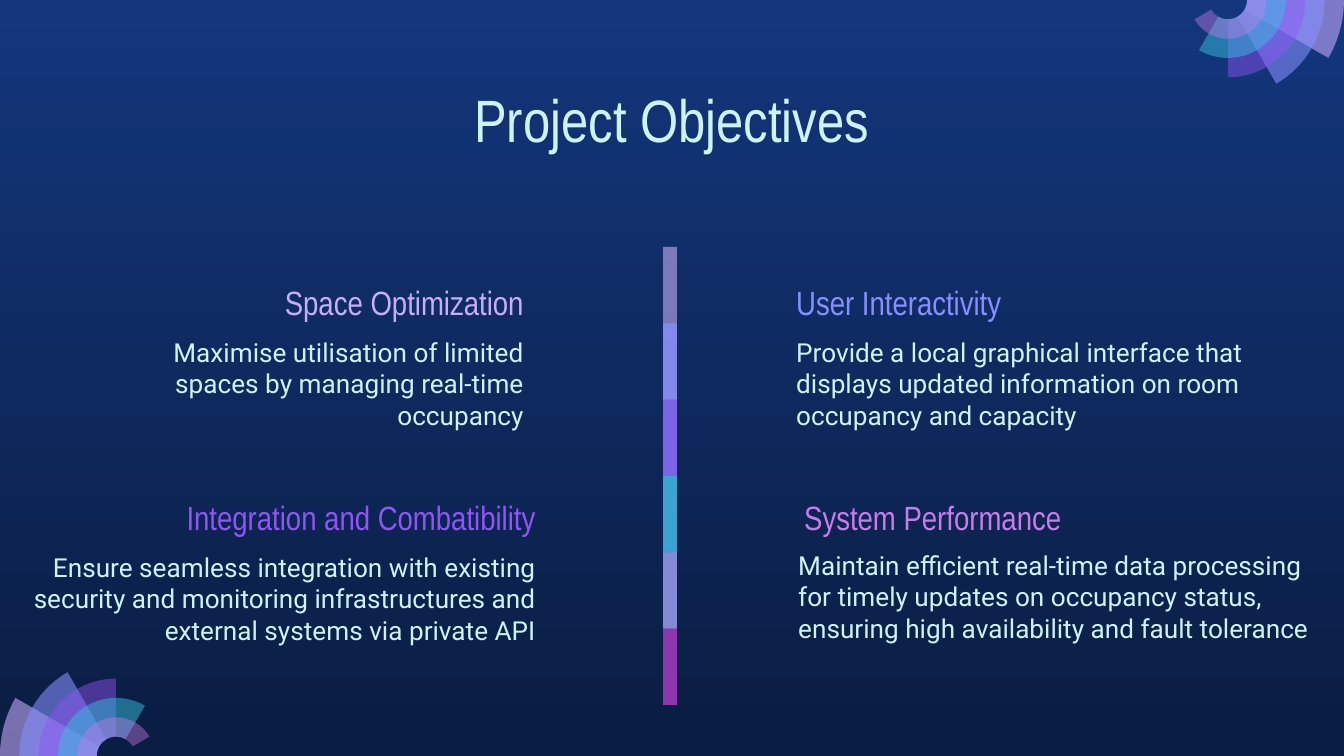
"""Build the Project Objectives slide."""
import math
from dataclasses import dataclass

import lxml.etree
import pptx
import pptx.dml.color
import pptx.enum.shapes
import pptx.enum.text
import pptx.oxml.ns
import pptx.util

SCALE = 9144000 / 1344
ALIGN = pptx.enum.text.PP_ALIGN
ANCHOR = pptx.enum.text.MSO_ANCHOR
qn = pptx.oxml.ns.qn


@dataclass(frozen=True)
class Theme:
    """Hold the colours, fonts and type sizes."""
    top: str = "13367C"
    base: str = "0A1D42"
    text: str = "CEF3F5"
    lilac: str = "C8AEF8"
    pale: str = "C8ACFD"
    blue: str = "878FFF"
    violet: str = "9154F8"
    cyan: str = "35C2DF"
    pink: str = "CA7BEB"
    plum: str = "972CB4"
    display: str = "Arial Narrow"
    body: str = "Roboto"
    title_size: int = 32
    head_size: int = 18
    body_size: int = 14


THEME = Theme()


def px(count):
    """Turn pixels into EMU."""
    return pptx.util.Emu(round(count * SCALE))


def rgb(code):
    """Turn a hex code into a colour."""
    return pptx.dml.color.RGBColor.from_string(code)


def paint(shape, color, alpha):
    """Give a shape a see-through fill with no line or shadow."""
    shape.shadow.inherit = False
    shape.fill.solid()
    shape.fill.fore_color.rgb = rgb(color)
    shape.line.fill.background()
    node = shape.element.spPr.find(qn("a:solidFill")).find(qn("a:srgbClr"))
    lxml.etree.SubElement(node, qn("a:alpha"), val=str(alpha * 1000))


def add_backdrop(slide):
    """Fill the background from light at the top to dark."""
    fill = slide.background.fill
    fill.gradient()
    fill.gradient_angle = 270
    for stop, color, place in zip(fill.gradient_stops, (THEME.top, THEME.base), (0, 1)):
        stop.color.rgb = rgb(color)
        stop.position = place


def arc(center, radius, start, sweep):
    """List the curve points of an arc, at most a quarter turn per curve."""
    def spot(angle, pull):
        """Find a point on the circle, moved along its tangent."""
        cos, sin = math.cos(angle), math.sin(angle)
        return (px(center[0] + radius * (cos - pull * sin)),
                px(center[1] + radius * (sin + pull * cos)))

    points = [spot(math.radians(start), 0)]
    for turn in range(0, sweep, 90):
        head = math.radians(start + turn)
        tail = math.radians(start + min(turn + 90, sweep))
        pull = 4 / 3 * math.tan((tail - head) / 4)
        points += [spot(head, pull), spot(tail, -pull), spot(tail, 0)]
    return points


def bend(lines):
    """Turn each three line segments into one cubic curve."""
    for i in range(0, len(lines), 3):
        curve = lxml.etree.Element(qn("a:cubicBezTo"))
        lines[i].addprevious(curve)
        for line in lines[i:i + 3]:
            curve.append(line[0])
            line.getparent().remove(line)


def add_sector(group, center, radii, start, sweep):
    """Draw a curved ring sector."""
    outer, inner = (arc(center, radius, start, sweep) for radius in radii)
    pen = group.shapes.build_freeform(*outer[0], scale=1.0)
    pen.add_line_segments(outer[1:] + inner[::-1], close=True)
    shape = pen.convert_to_shape()
    lines = list(shape.element.spPr.iter(qn("a:lnTo")))
    count = len(outer) - 1
    bend(lines[:count])
    bend(lines[count + 1:2 * count + 1])
    return shape


def add_fan(slide, center, start):
    """Draw five nested ring sectors, each wider in sweep than the last."""
    tints = ((THEME.pale, 58), (THEME.blue, 58), (THEME.violet, 46),
             (THEME.cyan, 49), (THEME.pink, 42))
    group = slide.shapes.add_group_shape()
    ring = 116 / 6
    for i, (color, alpha) in enumerate(tints):
        radii = (ring * (6 - i), ring)
        paint(add_sector(group, center, radii, start, 30 * (i + 1)), color, alpha)


def add_text(slide, box, text, font, size, color, align, anchor=ANCHOR.TOP):
    """Add a wrapped text box with one run."""
    frame = slide.shapes.add_textbox(*map(px, box)).text_frame
    frame.word_wrap = True
    frame.vertical_anchor = anchor
    for side in ("left", "top", "right", "bottom"):
        setattr(frame, f"margin_{side}", pptx.util.Inches(0.1))
    para = frame.paragraphs[0]
    para.alignment = align
    run = para.add_run()
    run.text = text
    run.font.name = font
    run.font.size = pptx.util.Pt(size)
    run.font.color.rgb = rgb(color)


def add_goal(slide, head, head_box, color, body, body_box, align):
    """Add a coloured heading and the text below it."""
    add_text(slide, head_box, head, THEME.display, THEME.head_size, color, align, ANCHOR.BOTTOM)
    add_text(slide, body_box, body, THEME.body, THEME.body_size, THEME.text, align)


def add_spine(slide):
    """Stack overlapping bars down the middle."""
    tints = ((THEME.lilac, 59), (THEME.blue, 74), (THEME.violet, 53),
             (THEME.cyan, 76), (THEME.pink, 56), (THEME.plum, 74))
    group = slide.shapes.add_group_shape()
    top, tall = 247, 458
    step = tall / len(tints)
    for i, (color, alpha) in enumerate(tints):
        size = min(2, len(tints) - i) * step
        bar = group.shapes.add_shape(pptx.enum.shapes.MSO_SHAPE.RECTANGLE,
                                     px(663), px(top + step * i), px(14), px(size))
        paint(bar, color, alpha)


def main():
    """Build and save the slide."""
    deck = pptx.Presentation()
    deck.slide_width, deck.slide_height = px(1344), px(756)
    slide = deck.slides.add_slide(deck.slide_layouts[6])
    add_backdrop(slide)
    add_fan(slide, (116, 756), 180)
    add_fan(slide, (1228, 0), 0)
    add_text(slide, (106, 69, 1132, 85), "Project Objectives", THEME.display,
             THEME.title_size, THEME.text, ALIGN.CENTER)
    goals = (
        ("Space Optimization", (197, 278, 340, 58), THEME.lilac,
         "Maximise utilisation of limited spaces by managing real-time occupancy",
         (144, 323, 393, 93), ALIGN.RIGHT),
        ("Integration and Combatibility", (137, 493, 412, 58), THEME.violet,
         "Ensure seamless integration with existing security and monitoring "
         "infrastructures and external systems via private API",
         (-17, 538, 566, 93), ALIGN.RIGHT),
        ("User Interactivity", (783, 278, 340, 58), THEME.blue,
         "Provide a local graphical interface that displays updated information "
         "on room occupancy and capacity",
         (783, 323, 561, 93), ALIGN.LEFT),
        ("System Performance", (791, 493, 340, 58), THEME.pink,
         "Maintain efficient real-time data processing for timely updates on "
         "occupancy status, ensuring high availability and fault tolerance",
         (785, 536, 547, 93), ALIGN.LEFT),
    )
    for goal in goals:
        add_goal(slide, *goal)
    add_spine(slide)
    deck.save("out.pptx")


if __name__ == "__main__":
    main()
